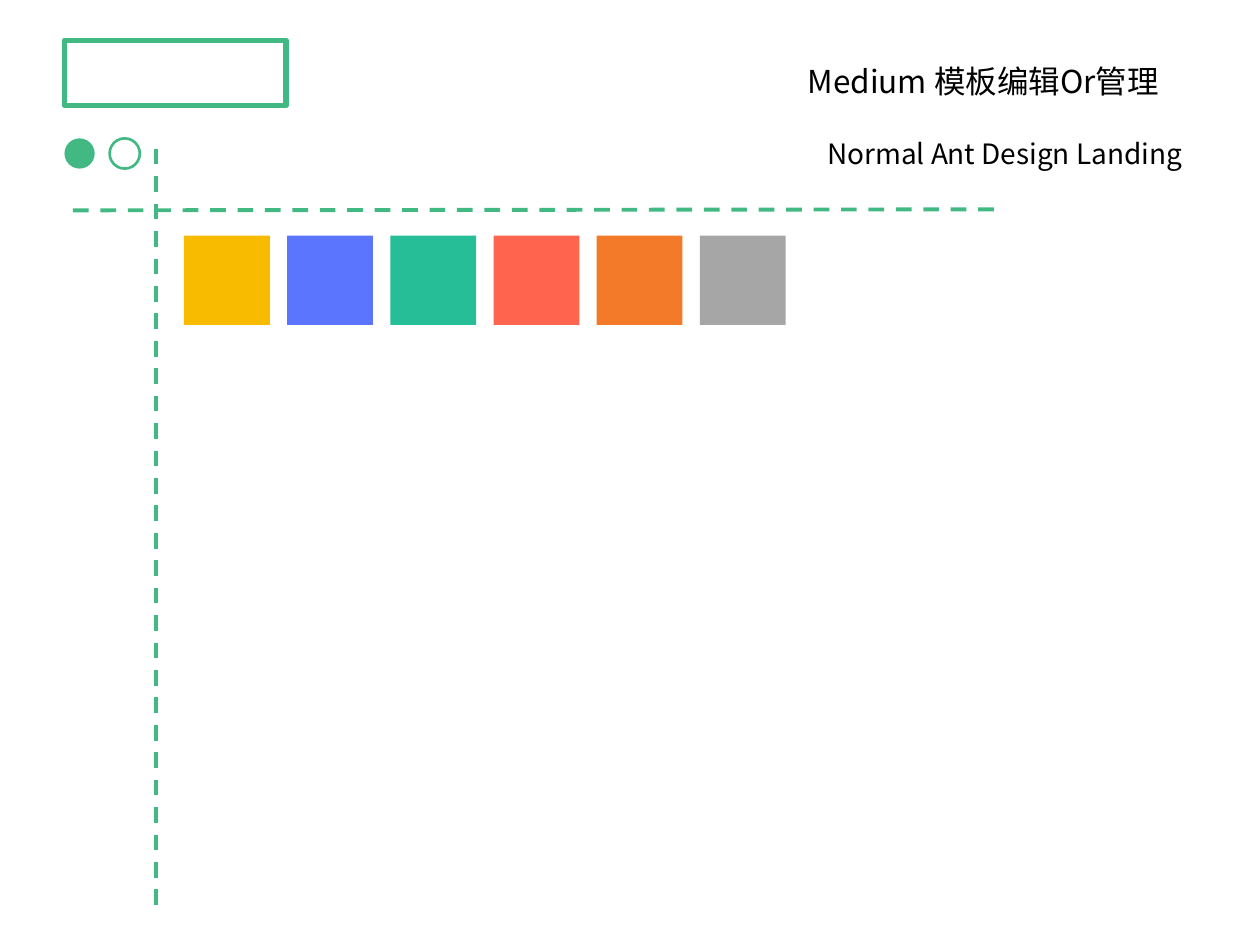
from lxml.etree import SubElement
from pptx import Presentation
from pptx.dml.color import RGBColor
from pptx.enum.dml import MSO_LINE
from pptx.enum.shapes import MSO_CONNECTOR, MSO_SHAPE
from pptx.enum.text import MSO_AUTO_SIZE
from pptx.oxml.ns import qn
from pptx.util import Cm, Pt

# Content; all lengths in centimetres
FONT = "Noto Sans CJK SC"
COLORS = {
    "accent": "42B983", "text": "000000",
    "yellow": "F8BB00", "blue": "5B75FF", "teal": "26BE97",
    "coral": "FE644E", "orange": "F37A29", "gray": "A6A6A6",
}
PALETTE = ["yellow", "blue", "teal", "coral", "orange", "gray"]
SWATCH_LEFT, SWATCH_TOP, SWATCH_PITCH = 3.71, 4.75, 2.08
SWATCH_WIDTH, SWATCH_HEIGHT = 1.73, 1.8
DOT_TOP, DOT_SIZE = 2.79, 0.61
HEADINGS = [  # text, size, left, top, width, height
    ("Medium 模板编辑Or管理", 18, 16.03, 1.12, 8.15, 1.02),
    ("Normal Ant Design Landing", 16, 16.43, 2.62, 7.82, 0.94),
]
GUIDES = [  # x1, y1, x2, y2
    (3.15, 3.0, 3.15, 18.34),
    (1.47, 4.24, 20.09, 4.22),
]


def color(name):
    return RGBColor.from_string(COLORS[name])


def add_figure(slide, kind, box, fill=None, outline=None):
    figure = slide.shapes.add_shape(kind, *map(Cm, box))
    figure.shadow.inherit = False
    if fill:
        figure.fill.solid()
        figure.fill.fore_color.rgb = color(fill)
    else:
        figure.fill.background()
    if outline:
        figure.line.color.rgb = color("accent")
        figure.line.width = Pt(outline)
    else:
        figure.line.fill.background()


def add_guide(slide, ends):
    guide = slide.shapes.add_connector(MSO_CONNECTOR.STRAIGHT, *map(Cm, ends))
    guide.line.color.rgb = color("accent")
    guide.line.width = Pt(2.25)
    guide.line.dash_style = MSO_LINE.DASH
    SubElement(guide._element.spPr, qn("a:effectLst"))


def add_heading(slide, text, size, *box):
    frame = slide.shapes.add_textbox(*map(Cm, box)).text_frame
    frame.word_wrap = False
    frame.auto_size = MSO_AUTO_SIZE.SHAPE_TO_FIT_TEXT
    frame.text = text
    font = frame.paragraphs[0].runs[0].font
    font.size = Pt(size)
    font.color.rgb = color("text")
    font.name = FONT
    # East Asian characters use the same typeface
    SubElement(font._element, qn("a:ea")).set("typeface", FONT)


def main():
    deck = Presentation()
    deck.slide_width, deck.slide_height = Cm(25.4), Cm(19.05)
    slide = deck.slides.add_slide(deck.slide_layouts[6])

    # Title frame and the two state dots
    add_figure(slide, MSO_SHAPE.RECTANGLE, (1.3, 0.81, 4.47, 1.32), outline=3)
    add_figure(slide, MSO_SHAPE.OVAL, (1.3, DOT_TOP, DOT_SIZE, DOT_SIZE), fill="accent")
    add_figure(slide, MSO_SHAPE.OVAL, (2.21, DOT_TOP, DOT_SIZE, DOT_SIZE), outline=1.5)

    # Dashed guides and headings
    for ends in GUIDES:
        add_guide(slide, ends)
    for heading in HEADINGS:
        add_heading(slide, *heading)

    # Evenly spaced colour swatches
    for index, name in enumerate(PALETTE):
        left = SWATCH_LEFT + index * SWATCH_PITCH
        add_figure(slide, MSO_SHAPE.RECTANGLE,
                   (left, SWATCH_TOP, SWATCH_WIDTH, SWATCH_HEIGHT), fill=name)

    deck.save("out.pptx")


if __name__ == "__main__":
    main()
